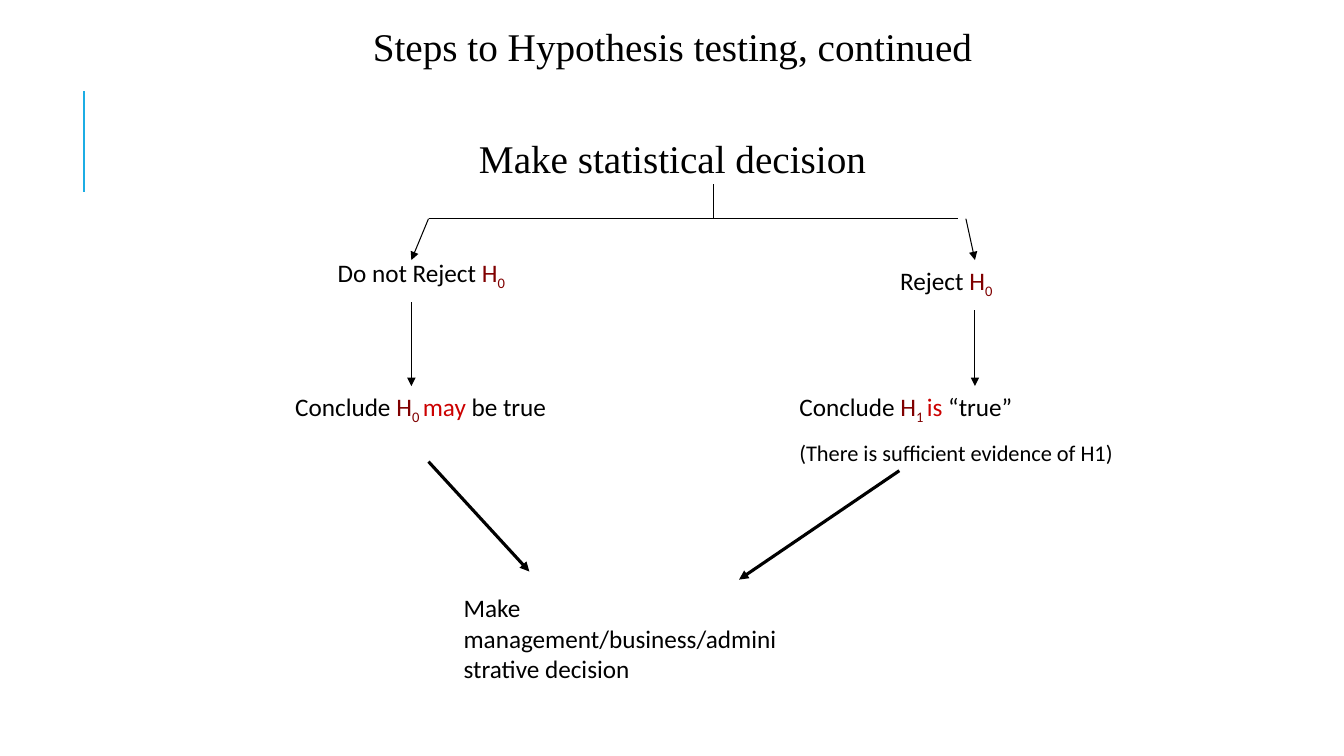
from lxml import etree
from pptx import Presentation
from pptx.dml.color import RGBColor
from pptx.enum.shapes import MSO_CONNECTOR as Connector
from pptx.enum.text import MSO_AUTO_SIZE as AutoSize, PP_ALIGN as Align
from pptx.oxml.ns import qn
from pptx.util import Inches, Pt

BLACK = RGBColor(0x00, 0x00, 0x00)
MAROON = RGBColor(0x80, 0x00, 0x00)
RED = RGBColor(0xCC, 0x00, 0x00)
BLUE = RGBColor(0x1C, 0xAD, 0xE4)

HEADING = {"name": "Times New Roman", "size": Pt(28)}
BODY = {"name": "Calibri", "size": Pt(18)}
REMARK = {"name": "Calibri", "size": Pt(16)}


class DecisionSlide:
    def __init__(self, slide):
        self.shapes = slide.shapes

    def line(self, start, end, color=BLACK, width=0.75, arrow=False):
        connector = self.shapes.add_connector(
            Connector.STRAIGHT, *map(Inches, start + end))
        connector.line.color.rgb = color
        connector.line.width = Pt(width)
        if arrow:
            etree.SubElement(connector.line._get_or_add_ln(), qn("a:tailEnd"), type="triangle")
        etree.SubElement(connector._element.spPr, qn("a:effectLst"))

    def text(self, box, paragraphs, gap=9.6, align=Align.LEFT, fit=AutoSize.SHAPE_TO_FIT_TEXT):
        """Each paragraph is a (font style, runs) pair; gap is the space between them."""
        frame = self.shapes.add_textbox(*map(Inches, box)).text_frame
        frame.word_wrap = True
        frame.auto_size = fit
        for index, (style, runs) in enumerate(paragraphs):
            paragraph = frame.add_paragraph() if index else frame.paragraphs[0]
            paragraph.alignment = align
            if index:
                paragraph.space_before = Pt(gap)
            for run in runs:
                self.run(paragraph, style, *run)

    def run(self, paragraph, style, words, color=BLACK, subscript=False):
        run = paragraph.add_run()
        run.text = words
        for key, value in style.items():
            setattr(run.font, key, value)
        run.font.color.rgb = color
        if subscript:
            run.font._element.set("baseline", "-25000")


def hypothesis(digit):
    return [("H", MAROON), (digit, MAROON, True)]


def main():
    prs = Presentation()
    prs.slide_width, prs.slide_height = Inches(13.33), Inches(7.5)
    slide = DecisionSlide(prs.slides.add_slide(prs.slide_layouts[6]))

    slide.line((0.83, 1.9), (0.83, 0.9), BLUE, 1.5)
    slide.text((2.42, 0.17, 8.5, 7),
               [(HEADING, [("Steps to Hypothesis testing, continued",)]),
                (HEADING, [("Make statistical decision",)])],
               gap=46.5, align=Align.CENTER, fit=AutoSize.NONE)

    # Fork into the two outcomes
    slide.line((7.08, 1.83), (7.08, 2.17))
    slide.line((4.25, 2.17), (9.5, 2.17))
    for start, end in [((4.25, 2.17), (4.08, 2.58)), ((9.58, 2.17), (9.67, 2.58)),
                       ((4.08, 3), (4.08, 3.83)), ((9.67, 3.08), (9.67, 3.83))]:
        slide.line(start, end, arrow=True)

    slide.text((3.25, 2.5, 2.58, 0.4), [(BODY, [("Do not Reject ",), *hypothesis("0")])])
    slide.text((8.83, 2.58, 1.58, 0.4), [(BODY, [("Reject ",), *hypothesis("0")])])
    slide.text((2.83, 3.83, 3.5, 0.4),
               [(BODY, [("Conclude ",), *hypothesis("0 "), ("may", RED), (" be true",)])])
    slide.text((7.83, 3.83, 3.5, 0.81),
               [(BODY, [("Conclude ",), *hypothesis("1 "), ("is", RED), (" “true”",)]),
                (REMARK, [("(There is sufficient evidence of H1)",)])])

    # Both outcomes lead to the final decision
    for start, end in [((4.25, 4.58), (5.25, 5.67)), ((8.92, 4.67), (7.33, 5.75))]:
        slide.line(start, end, width=2.25, arrow=True)
    slide.text((4.5, 5.83, 3.33, 1.01),
               [(BODY, [("Make management/business/administrative decision",)])])

    prs.save("out.pptx")


if __name__ == "__main__":
    main()
